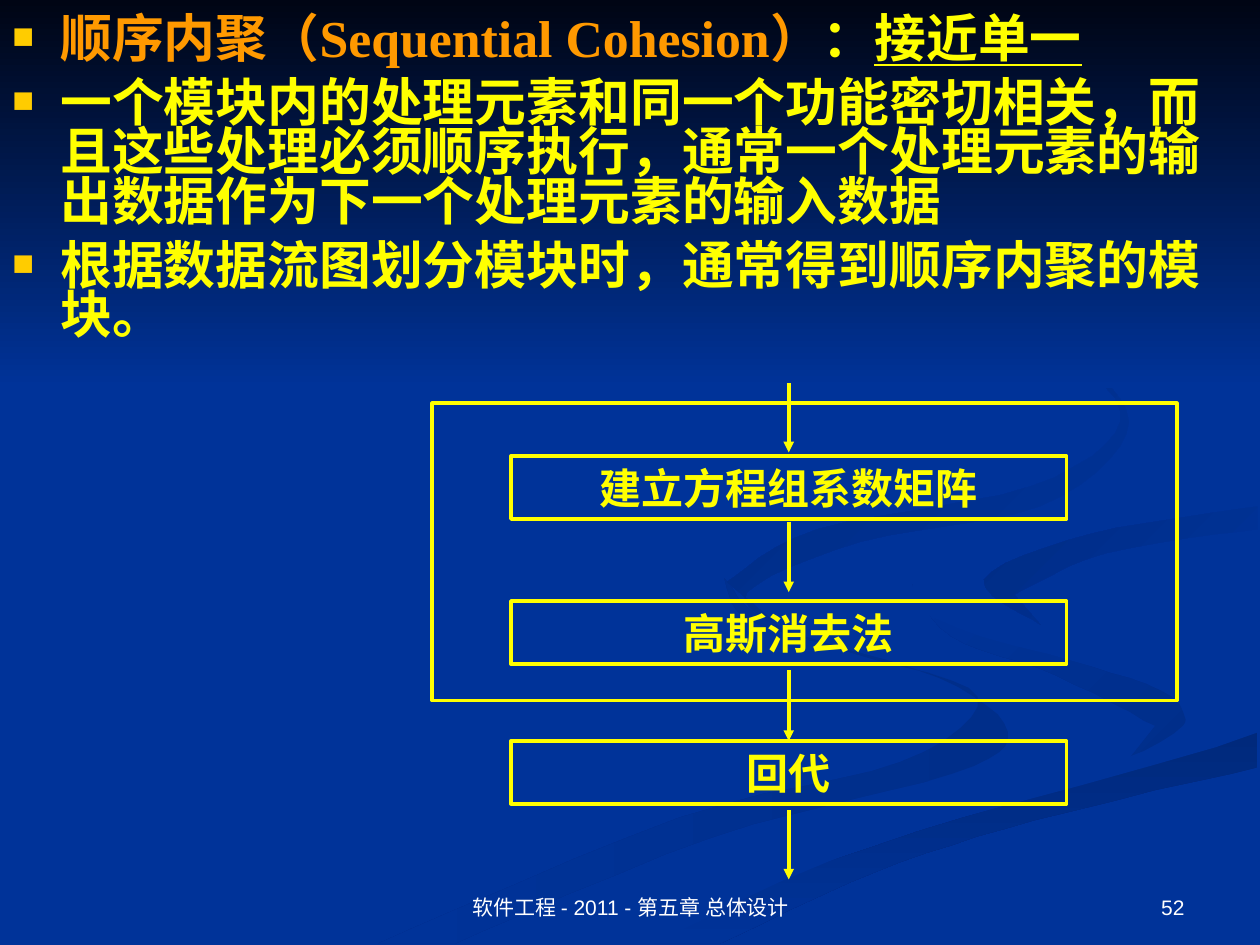
from lxml.etree import SubElement
from pptx import Presentation
from pptx.dml.color import RGBColor
from pptx.enum.shapes import MSO_CONNECTOR, MSO_SHAPE
from pptx.enum.text import MSO_ANCHOR, PP_ALIGN
from pptx.oxml.ns import qn
from pptx.util import Inches, Pt

BLUE = RGBColor(0x00, 0x33, 0x99)
NIGHT = RGBColor(0x00, 0x05, 0x14)
SHADE_A = RGBColor(0x00, 0x2E, 0x8A)
SHADE_B = RGBColor(0x00, 0x29, 0x7C)
SHADE_C = RGBColor(0x00, 0x2C, 0x85)
SHADE_D = RGBColor(0x00, 0x2B, 0x81)
YELLOW = RGBColor(0xFF, 0xFF, 0x00)
ORANGE = RGBColor(0xFF, 0x99, 0x00)
GOLD = RGBColor(0xFF, 0xCC, 0x00)
WHITE = RGBColor(0xFF, 0xFF, 0xFF)

AXIS = 6.26  # centre line of the flow, inches
STEP_WIDTH, STEP_HEIGHT = 4.41, 0.5

# Ribbons: start colour, end colour, angle, then both edges in hundredths of an inch
RIBBONS = [
    (SHADE_A, BLUE, 180,
     [(575, 459), (593, 491), (679, 519), (776, 553), (714, 605), (539, 649), (300, 749)],
     [(361, 749), (564, 665), (756, 614), (800, 581), (745, 538), (614, 496), (575, 459)]),
    (SHADE_A, BLUE, 225,
     [(724, 464), (745, 490), (850, 524), (930, 553), (936, 587), (894, 605)],
     [(917, 576), (838, 536), (755, 505), (724, 464)]),
    (SHADE_B, BLUE, 90,
     [(998, 581), (831, 629), (630, 693), (503, 749)],
     [(571, 749), (695, 692), (821, 651), (998, 609)]),
    (BLUE, BLUE, 0,
     [(999, 387), (830, 415), (725, 464), (759, 498), (905, 540), (943, 570),
      (869, 611), (663, 668), (477, 749)],
     [(519, 749), (696, 669), (999, 581), (999, 538), (832, 498), (781, 463),
      (850, 427), (999, 402)]),
    (BLUE, SHADE_C, 225,
     [(998, 402), (865, 424), (781, 460), (826, 496)],
     [(805, 472), (878, 439), (998, 420)]),
    (BLUE, SHADE_D, 225,
     [(762, 233), (864, 291), (894, 344), (825, 402), (683, 430), (593, 470), (622, 500)],
     [(577, 462), (649, 420), (818, 386), (889, 335), (846, 279), (762, 233)]),
]


def smooth_edge(points, steps=6):
    """Catmull-Rom curve through the points."""
    padded = [points[0], *points, points[-1]]
    curve = [points[0]]
    for a, b, c, d in zip(padded, padded[1:], padded[2:], padded[3:]):
        for step in range(1, steps + 1):
            t = step / steps
            curve.append(tuple(
                round(q + t * (r - p + t * (2 * p - 5 * q + 4 * r - s
                                            + t * (3 * q - p - 3 * r + s))) / 2)
                for p, q, r, s in zip(a, b, c, d)))
    return curve


def add_ribbon(page, start_color, end_color, angle, first_edge, second_edge):
    outline = smooth_edge(first_edge) + smooth_edge(second_edge)
    builder = page.shapes.build_freeform(*outline[0], scale=Inches(0.01))
    builder.add_line_segments(outline[1:], close=True)
    paint_gradient(builder.convert_to_shape(), start_color, end_color, angle)


def paint_gradient(shape, start_color, end_color, angle):
    shape.shadow.inherit = False
    shape.line.fill.background()
    shape.fill.gradient()
    shape.fill.gradient_angle = (360 - angle) % 360
    for stop, color in zip(shape.fill.gradient_stops, (start_color, end_color)):
        stop.color.rgb = color


def add_span(para, text, *, size, color, font="Times New Roman", bold=True, underline=False):
    span = para.add_run()
    span.text = text
    span.font.name = font
    span.font.size = Pt(size)
    span.font.bold = bold
    span.font.underline = underline
    span.font.color.rgb = color


def add_bullet(para):
    props = para._p.get_or_add_pPr()
    props.set("marL", str(Inches(0.38)))
    props.set("indent", str(-Inches(0.38)))
    SubElement(SubElement(props, qn("a:buClr")), qn("a:srgbClr"), val=str(GOLD))
    SubElement(props, qn("a:buSzPct"), val="70000")
    SubElement(props, qn("a:buFont"), typeface="Arial")
    SubElement(props, qn("a:buChar"), char="■")


def add_body(page, paragraphs):
    box = page.shapes.add_textbox(Inches(0), Inches(0.09), Inches(10), Inches(3.19))
    frame = box.text_frame
    frame.word_wrap = True
    for index, spans in enumerate(paragraphs):
        para = frame.add_paragraph() if index else frame.paragraphs[0]
        add_bullet(para)
        para.line_spacing = 0.8
        if index:
            para.space_before = Pt(8)
        for text, color, underline in spans:
            add_span(para, text, size=29.6, color=color, underline=underline)


def add_outline(page, left, top, width, height):
    box = page.shapes.add_shape(MSO_SHAPE.RECTANGLE, Inches(left), Inches(top),
                                Inches(width), Inches(height))
    box.shadow.inherit = False
    box.fill.background()
    box.line.color.rgb = YELLOW
    box.line.width = Pt(2)
    return box


def add_step(page, top, text):
    box = add_outline(page, AXIS - STEP_WIDTH / 2, top, STEP_WIDTH, STEP_HEIGHT)
    box.text_frame.vertical_anchor = MSO_ANCHOR.TOP
    para = box.text_frame.paragraphs[0]
    para.alignment = PP_ALIGN.CENTER
    add_span(para, text, size=24, color=YELLOW)
    return box


def add_arrow(page, top, bottom):
    arrow = page.shapes.add_connector(MSO_CONNECTOR.STRAIGHT, Inches(AXIS), Inches(top),
                                      Inches(AXIS), Inches(bottom))
    arrow.line.color.rgb = YELLOW
    arrow.line.width = Pt(2)
    SubElement(arrow.line._get_or_add_ln(), qn("a:tailEnd"), type="triangle")
    SubElement(arrow._element.spPr, qn("a:effectLst"))
    return arrow


def add_footer(page, left, width, text, align):
    box = page.shapes.add_textbox(Inches(left), Inches(6.83), Inches(width), Inches(0.52))
    box.text_frame.word_wrap = True
    box.text_frame.vertical_anchor = MSO_ANCHOR.BOTTOM
    para = box.text_frame.paragraphs[0]
    para.alignment = align
    add_span(para, text, size=12, color=WHITE, font="Arial", bold=False)


def main():
    deck = Presentation()
    deck.slide_width, deck.slide_height = Inches(10), Inches(7.5)
    page = deck.slides.add_slide(deck.slide_layouts[6])

    # Background with ribbons and the dark band on top
    page.background.fill.solid()
    page.background.fill.fore_color.rgb = BLUE
    for ribbon in RIBBONS:
        add_ribbon(page, *ribbon)
    band = page.shapes.add_shape(MSO_SHAPE.RECTANGLE, 0, 0, Inches(10), Inches(3.08))
    paint_gradient(band, NIGHT, BLUE, 90)

    # Explanation
    add_body(page, [
        [("顺序内聚（Sequential Cohesion）", ORANGE, False),
         ("：", YELLOW, False), ("接近单一", YELLOW, True)],
        [("一个模块内的处理元素和同一个功能密切相关，而且这些处理必须顺序执行，"
          "通常一个处理元素的输出数据作为下一个处理元素的输入数据", YELLOW, False)],
        [("根据数据流图划分模块时，通常得到顺序内聚的模块。", YELLOW, False)],
    ])

    # Flow of steps, with the module frame around the first two
    add_step(page, 3.62, "建立方程组系数矩阵")
    add_step(page, 4.77, "高斯消去法")
    last_step = add_step(page, 5.88, "回代")
    for top, bottom in ((3.04, 3.59), (4.14, 4.7), (6.43, 6.98)):
        add_arrow(page, top, bottom)
    add_arrow(page, 5.32, 5.88).end_connect(last_step, 0)
    add_outline(page, 3.43, 3.2, 5.91, 2.36)

    # Footer
    add_footer(page, 3.42, 3.17, "软件工程 - 2011 - 第五章 总体设计", PP_ALIGN.CENTER)
    add_footer(page, 7.17, 2.33, "52", PP_ALIGN.RIGHT)

    deck.save("out.pptx")


if __name__ == "__main__":
    main()
